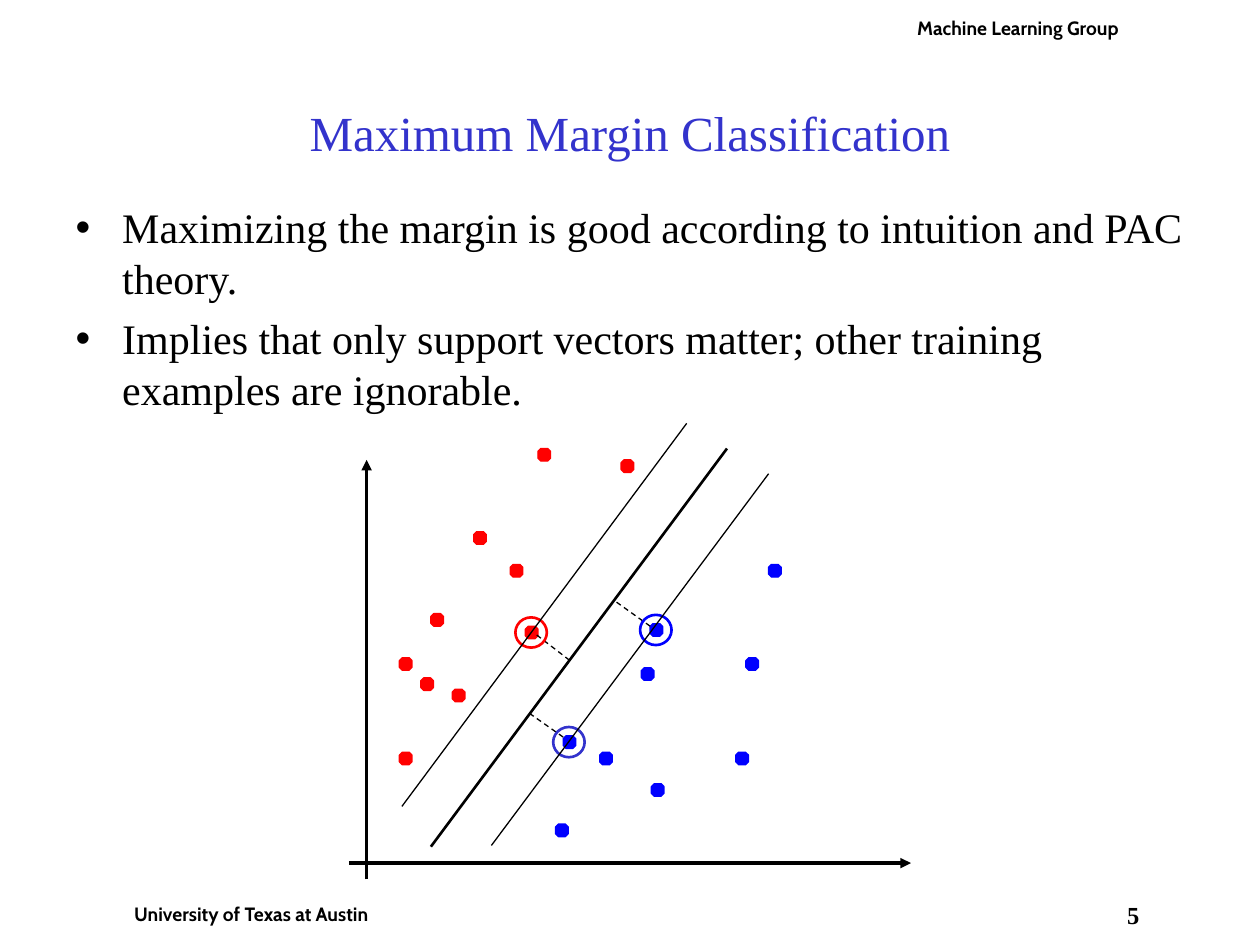
from lxml.etree import SubElement
from pptx import Presentation
from pptx.dml.color import RGBColor
from pptx.enum.dml import MSO_LINE
from pptx.enum.shapes import MSO_CONNECTOR, MSO_SHAPE
from pptx.enum.text import MSO_ANCHOR, MSO_AUTO_SIZE, PP_ALIGN
from pptx.oxml.ns import qn
from pptx.util import Inches, Pt

# Content
TITLE = "Maximum Margin Classification"
POINTS = [
    "Maximizing the margin is good according to intuition and PAC theory.",
    "Implies that only support vectors matter; other training examples are ignorable.",
]
SERIF, SANS = "Times New Roman", "Cabin"
BLACK, WHITE, RED, BLUE, INDIGO = "000000", "FFFFFF", "FF0000", "0000FF", "3333CC"

# text, (left, top, width, height), inset, font, size
LABELS = [
    ("5", (8.83, 7.14, 0.33, 0.36), 0, SERIF, 14),
    ("University of Texas at Austin", (0.83, 7.11, 2.33, 0.29), 0.05, SANS, 11),
    ("Machine Learning Group", (7.08, 0.08, 2, 0.29), 0.05, SANS, 11),
]

# Top left corners of the training examples, by class
EXAMPLES = {
    RED: [(4.05, 4.48), (3.42, 4.87), (3.59, 5.47), (3.17, 5.97), (3.76, 4.22),
          (3.17, 5.22), (3.34, 5.38), (4.17, 4.97), (4.27, 3.56), (4.93, 3.65)],
    BLUE: [(5.16, 4.95), (4.76, 5.97), (5.84, 5.97), (4.41, 6.54), (5.09, 5.3),
           (4.47, 5.84), (5.17, 6.22), (5.92, 5.22), (6.1, 4.48)],
}
SUPPORT_RINGS = [((4.09, 4.9), RED), ((4.39, 5.77), INDIGO), ((5.08, 4.88), BLUE)]

# Lines as (x1, y1, x2, y2)
AXES = [(2.91, 6.98, 2.91, 3.65), (2.77, 6.85, 7.23, 6.85)]
SEPARATOR = (3.42, 6.72, 5.77, 3.56)
MARGINS = [(3.9, 6.71, 6.1, 3.76), (3.19, 6.4, 5.45, 3.36)]
DISTANCES = [(5.16, 4.97, 4.88, 4.77), (4.47, 5.85, 4.2, 5.66), (4.52, 5.24, 4.26, 5.04)]


def rgb(color):
    return RGBColor.from_string(color)


def style(paragraph, font, size, color, bold=False):
    for run in paragraph.runs:
        run.font.name, run.font.size, run.font.bold = font, Pt(size), bold
        run.font.color.rgb = rgb(color)


def place(shape, left, top, width, height):
    shape.left, shape.top = Inches(left), Inches(top)
    shape.width, shape.height = Inches(width), Inches(height)


def add_line(ends, width, dash=None, arrow=False):
    line = slide.shapes.add_connector(MSO_CONNECTOR.STRAIGHT, *map(Inches, ends))
    line.line.color.rgb = rgb(BLACK)
    line.line.width = Pt(width)
    if dash:
        line.line.dash_style = dash
    if arrow:
        SubElement(line.line._get_or_add_ln(), qn("a:tailEnd"), type="triangle")
    SubElement(line._element.spPr, qn("a:effectLst"))


def add_mark(preset, corner, size, color, width, filled):
    mark = slide.shapes.add_shape(preset, *map(Inches, (*corner, *size)))
    mark.shadow.inherit = False
    if filled:
        mark.fill.solid()
        mark.fill.fore_color.rgb = rgb(color)
    else:
        mark.fill.background()
    mark.line.color.rgb = rgb(color)
    mark.line.width = Pt(width)
    return mark


prs = Presentation()
prs.slide_width, prs.slide_height = Inches(10), Inches(7.5)
slide = prs.slides.add_slide(prs.slide_layouts[1])

# Title
title = slide.shapes.title
place(title, 0.75, 0.42, 8.5, 1.25)
title.text_frame.text = TITLE
title.text_frame.auto_size = MSO_AUTO_SIZE.NONE
title.text_frame.vertical_anchor = MSO_ANCHOR.MIDDLE
title.text_frame.paragraphs[0].alignment = PP_ALIGN.CENTER
style(title.text_frame.paragraphs[0], SERIF, 28, INDIGO)

# Bulleted points
body = slide.placeholders[1]
place(body, 0.5, 1.55, 9, 5.5)
body.text_frame.text = "\n".join(POINTS)
body.text_frame.auto_size = MSO_AUTO_SIZE.NONE
for index, point in enumerate(body.text_frame.paragraphs):
    properties = point._p.get_or_add_pPr()
    properties.set("marL", str(Inches(0.37)))
    properties.set("indent", str(-Inches(0.37)))
    SubElement(properties, qn("a:buChar"), char="•")
    point.space_before = Pt(6 if index else 0)
    style(point, SERIF, 24, BLACK)

# Header, footer and page number
for text, box, inset, font, size in LABELS:
    label = slide.shapes.add_textbox(*map(Inches, box))
    label.fill.solid()
    label.fill.fore_color.rgb = rgb(WHITE)
    frame = label.text_frame
    frame.word_wrap = True
    frame.margin_left = frame.margin_right = Inches(inset)
    frame.margin_top = frame.margin_bottom = Inches(inset)
    frame.text = text
    frame.paragraphs[0].alignment = PP_ALIGN.CENTER
    style(frame.paragraphs[0], font, size, BLACK, bold=True)

# Axes
for axis in AXES:
    add_line(axis, 2, arrow=True)

# Training examples
for color, corners in EXAMPLES.items():
    for corner in corners:
        example = add_mark(MSO_SHAPE.OCTAGON, corner, (0.1, 0.1), color, 0.75, True)
        example.adjustments[0] = 0.23

# Separator, margins and support vectors
add_line(SEPARATOR, 1.5)
for distance in DISTANCES:
    add_line(distance, 0.75, dash=MSO_LINE.DASH)
for corner, color in SUPPORT_RINGS:
    add_mark(MSO_SHAPE.OVAL, corner, (0.25, 0.24), color, 1.5, False)
for margin in MARGINS:
    add_line(margin, 0.75)

prs.save("out.pptx")
